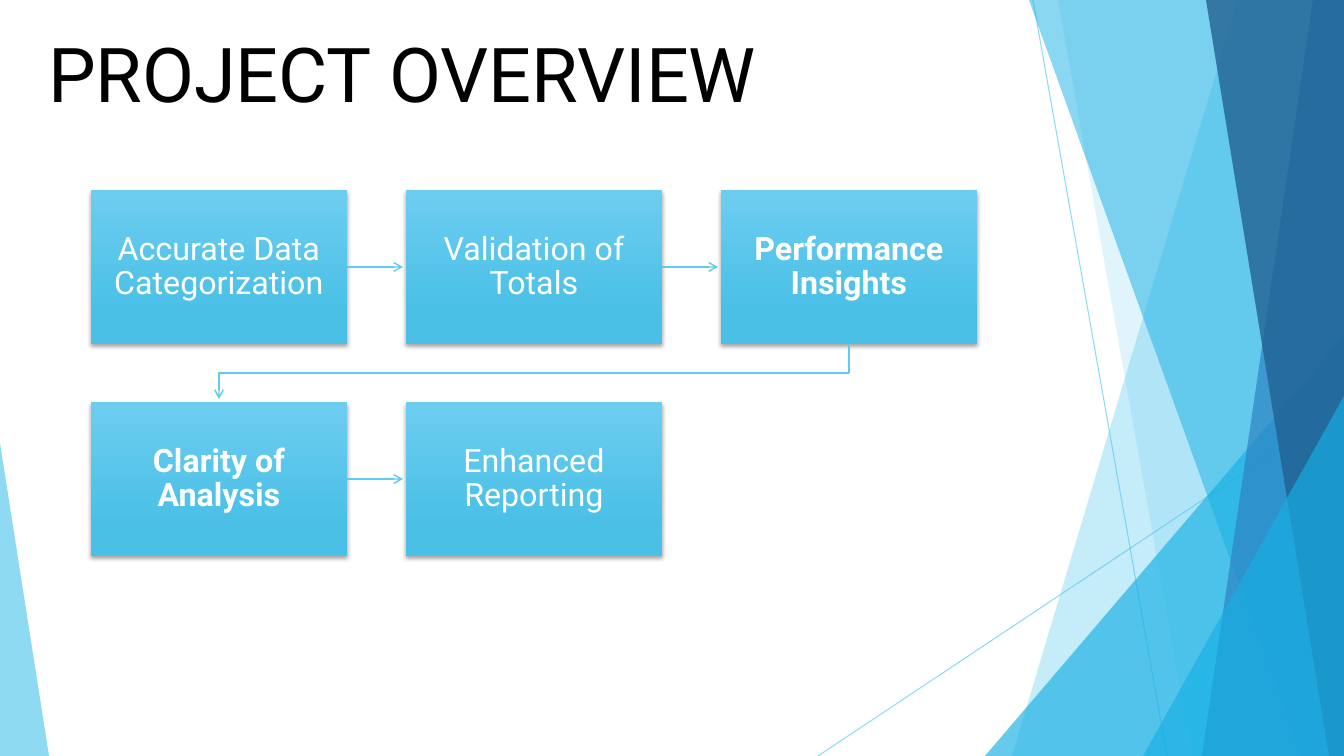
from dataclasses import dataclass

from lxml.etree import SubElement
from pptx import Presentation
from pptx.dml.color import RGBColor
from pptx.enum.shapes import MSO_CONNECTOR, MSO_SHAPE
from pptx.enum.text import MSO_ANCHOR, MSO_AUTO_SIZE, PP_ALIGN
from pptx.oxml.ns import qn
from pptx.util import Emu, Pt

SLIDE_WIDTH, SLIDE_HEIGHT = 1344, 756
PIXEL = 12192000 / SLIDE_WIDTH
RIGHT_SIDE = 3


@dataclass(frozen=True)
class Theme:
    font: str = "Roboto"
    title_size: int = 54
    box_size: int = 23
    title_color: str = "000000"
    box_text: str = "FFFFFF"
    box_top: str = "6CCDF0"
    box_bottom: str = "4BC0E6"
    shadow: str = "000000"
    sky: str = "5FCBEF"
    cyan: str = "17B0E4"
    blue: str = "2E83C3"
    navy: str = "226292"


def px(*lengths):
    return [Emu(round(length * PIXEL)) for length in lengths]


def apply(target, values):
    for name, value in values.items():
        setattr(target, name, value)


class SlideBuilder:
    def __init__(self, slide, theme):
        self.slide = slide
        self.shapes = slide.shapes
        self.theme = theme

    def set_text(self, shape, text, frame_format, paragraph_format, font_format, color):
        frame = shape.text_frame
        frame.text = text
        apply(frame, {"word_wrap": True, "auto_size": MSO_AUTO_SIZE.NONE, **frame_format})
        paragraph = frame.paragraphs[0]
        apply(paragraph, paragraph_format)
        font = paragraph.runs[0].font
        apply(font, {"name": self.theme.font, **font_format})
        font.color.rgb = RGBColor.from_string(color)

    def set_alpha(self, shape, percent):
        color = shape.element.spPr.find(".//" + qn("a:srgbClr"))
        SubElement(color, qn("a:alpha"), val=str(percent * 1000))

    def set_line(self, shape, width, arrow=False):
        shape.line.width = Pt(width)
        shape.line.color.rgb = RGBColor.from_string(self.theme.sky)
        if arrow:
            SubElement(shape.element.spPr.find(qn("a:ln")), qn("a:tailEnd"), type="arrow")

    def title(self, text, left, top, width, height):
        title = self.shapes.title
        apply(title, dict(zip(("left", "top", "width", "height"), px(left, top, width, height))))
        self.set_text(
            title, text, {"vertical_anchor": MSO_ANCHOR.MIDDLE}, {"alignment": PP_ALIGN.LEFT},
            {"size": Pt(self.theme.title_size)}, self.theme.title_color,
        )

    def connector(self, start, end, width, source=None, arrow=False):
        line = self.shapes.add_connector(MSO_CONNECTOR.STRAIGHT, *px(*start, *end))
        if source is not None:
            line.begin_connect(source, RIGHT_SIDE)
        self.set_line(line, width, arrow)
        SubElement(line.element.spPr, qn("a:effectLst"))
        return line

    def outline(self, points, close):
        builder = self.shapes.build_freeform(*points[0], scale=PIXEL)
        builder.add_line_segments(points[1:], close=close)
        shape = builder.convert_to_shape()
        shape.shadow.inherit = False
        return shape

    def fill_translucent(self, shape, color, alpha):
        shape.fill.solid()
        shape.fill.fore_color.rgb = RGBColor.from_string(color)
        shape.line.fill.background()
        self.set_alpha(shape, alpha)

    def band(self, top_left, bottom_left, color, alpha):
        points = [(top_left, 0), (SLIDE_WIDTH, 0), (SLIDE_WIDTH, SLIDE_HEIGHT), (bottom_left, SLIDE_HEIGHT)]
        self.fill_translucent(self.outline(points, True), color, alpha)

    def triangle(self, left, top, width, apex, color, alpha):
        shape = self.shapes.add_shape(
            MSO_SHAPE.ISOSCELES_TRIANGLE, *px(left, top, width, SLIDE_HEIGHT - top)
        )
        shape.adjustments[0] = apex
        shape.shadow.inherit = False
        self.fill_translucent(shape, color, alpha)

    def bent_arrow(self, points, width):
        shape = self.outline(points, False)
        shape.fill.background()
        self.set_line(shape, width, True)

    def box(self, text, bold, left, top, width, height):
        box = self.shapes.add_shape(MSO_SHAPE.RECTANGLE, *px(left, top, width, height))
        box.line.fill.background()
        box.fill.gradient()
        box.fill.gradient_angle = 270
        stops = ((0, self.theme.box_top), (0.78, self.theme.box_bottom))
        for stop, (position, color) in zip(box.fill.gradient_stops, stops):
            stop.position = position
            stop.color.rgb = RGBColor.from_string(color)
        self.soften(box)
        margins = ("margin_left", "margin_top", "margin_right", "margin_bottom")
        self.set_text(
            box, text,
            {"vertical_anchor": MSO_ANCHOR.MIDDLE, **dict.fromkeys(margins, px(18)[0])},
            {"alignment": PP_ALIGN.CENTER, "line_spacing": 0.9},
            {"size": Pt(self.theme.box_size), "bold": bold}, self.theme.box_text,
        )
        return box

    def soften(self, shape):
        shape.shadow.inherit = False
        effects = shape.element.spPr.find(qn("a:effectLst"))
        shadow = SubElement(
            effects, qn("a:outerShdw"), blurRad=str(Pt(3)), dist=str(Pt(2)), dir="5400000", rotWithShape="0"
        )
        color = SubElement(shadow, qn("a:srgbClr"), val=self.theme.shadow)
        SubElement(color, qn("a:alpha"), val="35000")


def draw_backdrop(builder):
    theme = builder.theme
    for start, end in (((1033, 0), (1167, 756)), ((1344, 406), (818, 756))):
        builder.set_alpha(builder.connector(start, end, 0.75), 70)
    builder.band(1238, 1012, theme.sky, 36)
    builder.band(1058, 1192, theme.sky, 20)
    builder.triangle(985, 336, 359, 1, theme.cyan, 66)
    builder.band(1029, 1301, theme.cyan, 50)
    builder.band(1313, 1202, theme.blue, 70)
    builder.band(1206, 1329, theme.navy, 80)
    builder.triangle(1143, 396, 201, 1, theme.cyan, 66)
    builder.triangle(0, 443, 49, 0, theme.sky, 70)


def draw_process(builder):
    steps = (
        ("Accurate Data Categorization", False),
        ("Validation of Totals", False),
        ("Performance Insights", True),
        ("Clarity of Analysis", True),
        ("Enhanced Reporting", False),
    )
    columns, left, top, width, height = 3, 91, 190, 256, 154
    column_step, row_step, arrow_gap = 315, 212, 3
    for index, (text, bold) in enumerate(steps):
        row, column = divmod(index, columns)
        x, y = left + column * column_step, top + row * row_step
        box = builder.box(text, bold, x, y, width, height)
        if index == len(steps) - 1:
            continue
        if column < columns - 1:
            middle = y + height // 2
            end = (x + column_step - arrow_gap, middle)
            builder.connector((x + width, middle), end, 1, box, True)
        else:
            center, first_center = x + width // 2, left + width // 2
            bottom, next_top = y + height, y + row_step
            turn = (bottom + next_top) // 2
            builder.bent_arrow(
                [(center, bottom), (center, turn), (first_center, turn), (first_center, next_top - arrow_gap)], 1
            )


def main():
    presentation = Presentation()
    presentation.slide_width, presentation.slide_height = px(SLIDE_WIDTH, SLIDE_HEIGHT)
    builder = SlideBuilder(presentation.slides.add_slide(presentation.slide_layouts[5]), Theme())
    draw_backdrop(builder)
    builder.title("PROJECT OVERVIEW", 38, 30, 787, 85)
    draw_process(builder)
    presentation.save("out.pptx")


if __name__ == "__main__":
    main()
